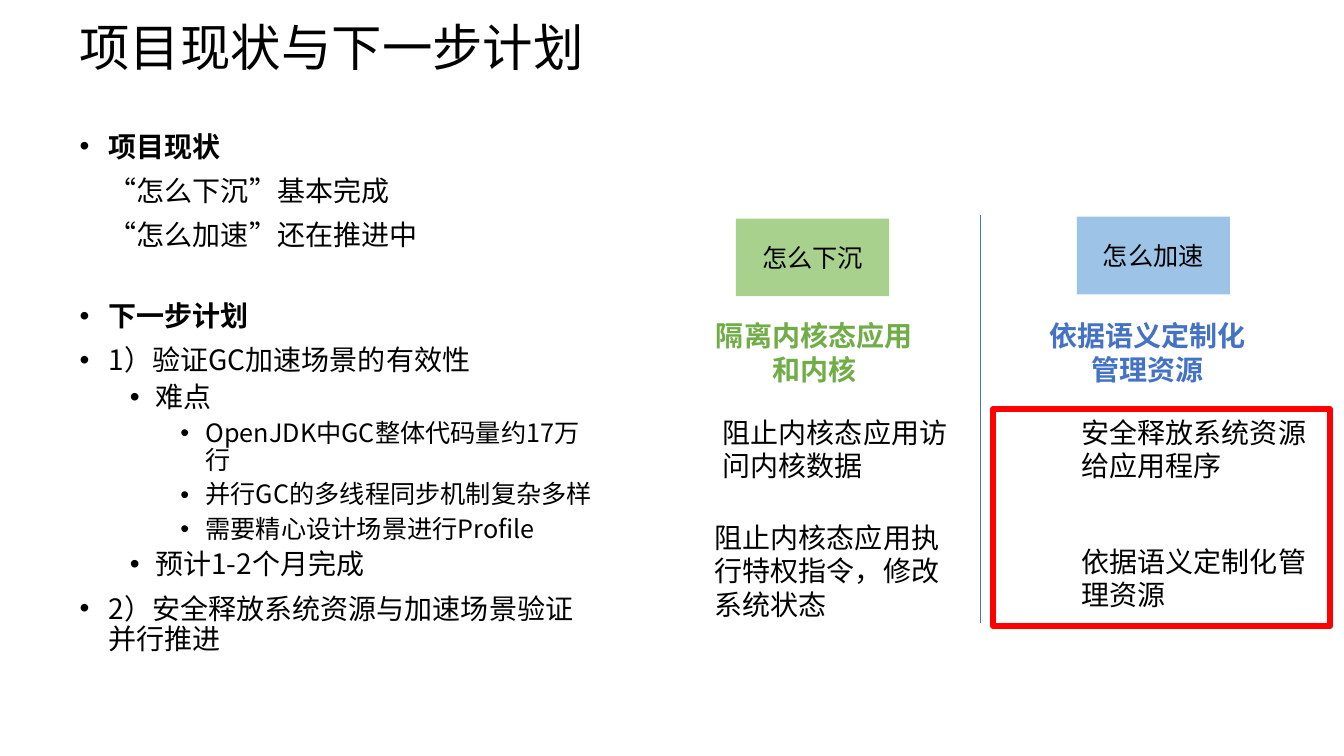
from pptx import Presentation
from pptx.dml.color import RGBColor as Rgb
from pptx.enum.shapes import MSO_CONNECTOR as Link, MSO_SHAPE as Form
from pptx.enum.text import MSO_ANCHOR as Anchor, PP_ALIGN as Align
from pptx.oxml.ns import qn
from pptx.util import Inches, Pt
from lxml.etree import SubElement

FONT = "Noto Sans CJK SC"
BLACK = Rgb(0x00, 0x00, 0x00)
LEAF = Rgb(0xA9, 0xD1, 0x8E)
GREEN = Rgb(0x70, 0xAD, 0x47)
SKY = Rgb(0x9D, 0xC3, 0xE6)
BLUE = Rgb(0x44, 0x72, 0xC4)
RED = Rgb(0xFF, 0x00, 0x00)

WIDE, HIGH = Inches(13.33), Inches(7.5)
COL, ROW = WIDE / 100, HIGH / 100
INDENTS = [(0.29, 0.29), (0.75, 0.25), (1.25, 0.25)]

PLAN = [
    ("项目现状", 0, 20, True, True, 0),
    ("“怎么下沉”基本完成", 0, 20, False, False, 10),
    ("“怎么加速”还在推进中", 0, 20, False, False, 10),
    ("下一步计划", 0, 20, True, True, 36),
    ("1）验证GC加速场景的有效性", 0, 20, False, True, 10),
    ("难点", 1, 20, False, True, 5),
    ("OpenJDK中GC整体代码量约17万行", 2, 18, False, True, 5),
    ("并行GC的多线程同步机制复杂多样", 2, 18, False, True, 5),
    ("需要精心设计场景进行Profile", 2, 18, False, True, 5),
    ("预计1-2个月完成", 1, 20, False, True, 5),
    ("2）安全释放系统资源与加速场景验证并行推进", 0, 20, False, True, 10),
]


def place(box):
    x, y, w, h = box
    return round(x * COL), round(y * ROW), round(w * COL), round(h * ROW)


def style(para, size, color=BLACK, bold=False):
    font = para.font
    font.size, font.bold, font.name = Pt(size), bold, FONT
    font.color.rgb = color
    base = para._p.pPr.find(qn("a:defRPr"))
    SubElement(base, qn("a:ea")).set("typeface", FONT)


def write(slide, box, lines, size=20, color=BLACK, bold=False, align=Align.LEFT):
    frame = slide.shapes.add_textbox(*place(box)).text_frame
    frame.word_wrap = True
    frame.text = "\n".join(lines)
    for para in frame.paragraphs:
        para.alignment = align
        style(para, size, color, bold)
    return frame


def block(slide, box):
    shape = slide.shapes.add_shape(Form.RECTANGLE, *place(box))
    shape.shadow.inherit = False
    return shape


def title(slide, box):
    frame = write(slide, box, ["项目现状与下一步计划"], 36)
    frame.vertical_anchor = Anchor.MIDDLE
    frame.paragraphs[0].line_spacing = 0.9


def plan(slide, box):
    frame = slide.shapes.add_textbox(*place(box)).text_frame
    frame.word_wrap = True
    frame.text = "\n".join(item[0] for item in PLAN)
    for para, (_, level, size, bold, dot, gap) in zip(frame.paragraphs, PLAN):
        left, hang = INDENTS[level]
        para.level = level
        para.line_spacing = 0.9
        para.space_before = Pt(gap)
        props = para._p.get_or_add_pPr()
        props.set("marL", str(Inches(left)))
        props.set("indent", str(-Inches(hang) if dot else 0))
        if dot:
            SubElement(props, qn("a:buFont")).set("typeface", "Arial")
            SubElement(props, qn("a:buChar")).set("char", "•")
        else:
            SubElement(props, qn("a:buNone"))
        style(para, size, BLACK, bold)


def pillar(slide, box, chip, name, fill, head, color, notes):
    x, y, w, h = box
    dx, dy = chip
    label = block(slide, (x + dx, y + dy, 11.4, 10.27))
    label.fill.solid()
    label.fill.fore_color.rgb = fill
    label.line.fill.background()
    frame = label.text_frame
    frame.text = name
    frame.vertical_anchor = Anchor.MIDDLE
    frame.paragraphs[0].alignment = Align.CENTER
    style(frame.paragraphs[0], 18)
    write(slide, (x, y + 13.07, w, 10.27), head, 20, color, True, Align.CENTER)
    for dx, dy, tall, text in notes:
        write(slide, (x + dx, y + dy, 18.38, tall), [text])


def divide(slide, box):
    x, y, w, h = place(box)
    rule = slide.shapes.add_connector(Link.STRAIGHT, x, y, x + w, y + h)
    rule.line.color.rgb = BLUE
    rule.line.width = Pt(0.5)
    SubElement(rule._element.spPr, qn("a:effectLst"))


def outline(slide, box):
    edge = block(slide, box)
    edge.fill.background()
    edge.line.color.rgb = RED
    edge.line.width = Pt(4.5)


def main():
    deck = Presentation()
    deck.slide_width, deck.slide_height = WIDE, HIGH
    slide = deck.slides.add_slide(deck.slide_layouts[6])
    title(slide, (5.18, 1.2, 86.27, 10.8))
    plan(slide, (5.18, 16.93, 40.13, 73.73))
    pillar(slide, (51.39, 28.4, 18.38, 54), (3.37, 0.53), "怎么下沉", LEAF,
           ["隔离内核态应用", "和内核"], GREEN,
           [(1.65, 25.87, 10.27, "阻止内核态应用访问内核数据"),
            (1.05, 39.73, 14.8, "阻止内核态应用执行特权指令，修改系统状态")])
    divide(slide, (72.92, 28.4, 0, 54))
    pillar(slide, (76.52, 28.4, 17.78, 54), (3.6, 0.27), "怎么加速", SKY,
           ["依据语义定制化", "管理资源"], BLUE,
           [(3.22, 25.87, 10.27, "安全释放系统资源给应用程序"),
            (3.22, 42.93, 10.27, "依据语义定制化管理资源")])
    outline(slide, (73.89, 54.13, 25.06, 28.67))
    deck.save("out.pptx")


if __name__ == "__main__":
    main()
